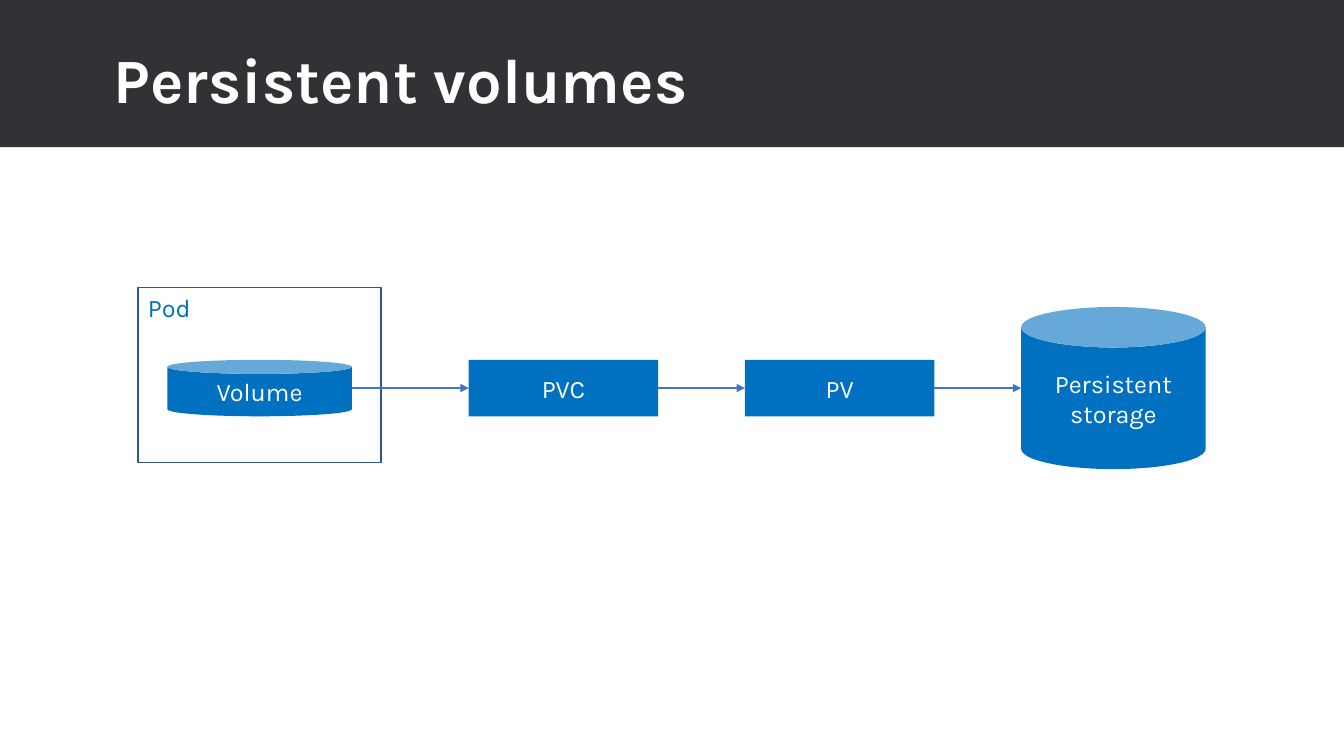
"""Build a slide showing how a pod volume reaches persistent storage."""
from itertools import pairwise

from lxml.etree import SubElement
from pptx import Presentation
from pptx.dml.color import RGBColor
from pptx.enum.shapes import MSO_CONNECTOR, MSO_SHAPE
from pptx.enum.text import MSO_ANCHOR, PP_ALIGN
from pptx.oxml.ns import qn
from pptx.util import Pt

COLORS = {
    "header": "313235",
    "white": "FFFFFF",
    "blue": "0070C0",
    "pod_border": "2F5597",
    "arrow": "4472C4",
}


def color(name):
    return RGBColor.from_string(COLORS[name])


def write_text(shape, text, size, color_name, align, anchor, bold=False):
    frame = shape.text_frame
    frame.word_wrap = True
    frame.vertical_anchor = anchor
    paragraph = frame.paragraphs[0]
    paragraph.text = text
    paragraph.alignment = align
    font = paragraph.font
    font.name, font.size, font.bold = "Karla", Pt(size), bold
    font.color.rgb = color(color_name)
    return paragraph


def add_block(slide, kind, left, top, width, height, fill=None, border=None):
    shape = slide.shapes.add_shape(kind, Pt(left), Pt(top), Pt(width), Pt(height))
    shape.shadow.inherit = False
    if fill:
        shape.fill.solid()
        shape.fill.fore_color.rgb = color(fill)
    else:
        shape.fill.background()
    if border:
        shape.line.color.rgb = color(border)
        shape.line.width = Pt(1)
    else:
        shape.line.fill.background()
    return shape


def add_arrow(slide, start, end, axis):
    connector = slide.shapes.add_connector(
        MSO_CONNECTOR.STRAIGHT, start, axis, end, axis
    )
    connector.line.color.rgb = color("arrow")
    connector.line.width = Pt(1.5)
    SubElement(connector.line._get_or_add_ln(), qn("a:tailEnd"), type="triangle")
    SubElement(connector._element.spPr, qn("a:effectLst"))


def add_header(slide, left, top, width, height):
    add_block(slide, MSO_SHAPE.RECTANGLE, left, top, width, height, "header")
    title = slide.shapes.add_textbox(
        Pt(left + 74.2), Pt(top + 7.2), Pt(width - 148), Pt(height - 0.7)
    )
    paragraph = write_text(
        title, "Persistent volumes", 45, "white",
        PP_ALIGN.LEFT, MSO_ANCHOR.MIDDLE, bold=True,
    )
    paragraph.line_spacing = 0.9


def add_storage_chain(slide, left, top, width, height):
    axis = top + 72
    can_width, claim_width, low, pitch = 131.8, 135.4, 40.4, 197.3
    storage_left = left + width - can_width
    pod = add_block(
        slide, MSO_SHAPE.RECTANGLE, left, top, 173.5, height - 4.3, border="pod_border"
    )
    write_text(pod, "Pod", 18, "blue", PP_ALIGN.LEFT, MSO_ANCHOR.TOP)

    stages = [
        ("Volume", MSO_SHAPE.CAN, left + 20.9, can_width, low),
        ("PVC", MSO_SHAPE.RECTANGLE, storage_left - 2 * pitch, claim_width, low),
        ("PV", MSO_SHAPE.RECTANGLE, storage_left - pitch, claim_width, low),
        ("Persistent storage", MSO_SHAPE.CAN, storage_left, can_width, 115.8),
    ]
    blocks = []
    for label, kind, stage_left, stage_width, stage_height in stages:
        block = add_block(
            slide, kind, stage_left, axis - stage_height / 2,
            stage_width, stage_height, "blue",
        )
        write_text(block, label, 18, "white", PP_ALIGN.CENTER, MSO_ANCHOR.MIDDLE)
        blocks.append(block)
    for source, target in pairwise(blocks):
        add_arrow(slide, source.left + source.width, target.left, Pt(axis))


def main():
    presentation = Presentation()
    presentation.slide_width, presentation.slide_height = Pt(960), Pt(540)
    slide = presentation.slides.add_slide(presentation.slide_layouts[6])
    add_header(slide, 0, 0, 960, 105.1)
    add_storage_chain(slide, 98.6, 205.2, 762.6, 129.6)
    presentation.save("out.pptx")


main()
